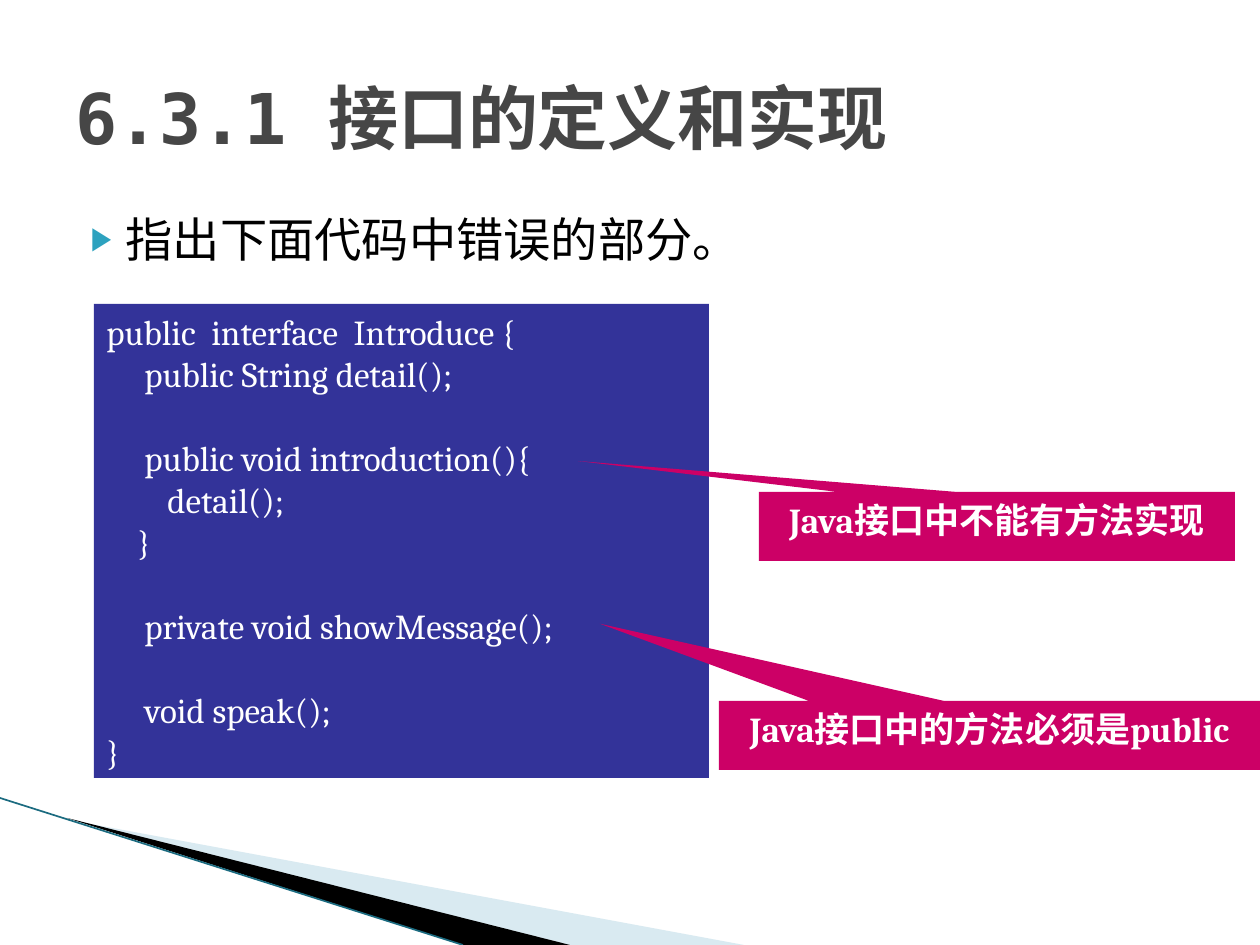
from dataclasses import dataclass

from lxml.etree import SubElement
from pptx import Presentation
from pptx.dml.color import RGBColor
from pptx.enum.lang import MSO_LANGUAGE_ID
from pptx.enum.shapes import MSO_CONNECTOR, MSO_SHAPE
from pptx.enum.text import MSO_ANCHOR, MSO_AUTO_SIZE, PP_ALIGN
from pptx.oxml.ns import qn
from pptx.util import Pt

EMU_PER_PX = 914400 / 126


@dataclass(frozen=True)
class Theme:
    heading_font: str = "DejaVu Sans Mono"
    code_font: str = "Cambria"
    title_size: int = 40
    body_size: int = 27
    code_size: int = 20
    code_line: int = 24
    title: str = "464646"
    body: str = "000000"
    bullet: str = "2DA2BF"
    code_fill: str = "333399"
    callout_fill: str = "CC0066"
    light_text: str = "FFFFFF"
    pale_wedge: str = "A0CBDC"
    dark_wedge: str = "000000"
    edge: str = "1B6B80"


THEME = Theme()

# Indent in px, blank lines above, code
CODE = [
    (0, 0, "public  interface  Introduce {"),
    (38, 0, "public String detail();"),
    (38, 1, "public void introduction(){"),
    (61, 0, "detail();"),
    (31, 0, "}"),
    (38, 1, "private void showMessage();"),
    (38, 1, "void speak();"),
    (0, 0, "}"),
]

# Box, pointer offset as a share of the box, text
CALLOUTS = [
    ((759, 492, 476, 69), (-0.88, -0.95), "Java接口中不能有方法实现"),
    ((719, 701, 541, 69), (-0.72, -1.62), "Java接口中的方法必须是public"),
]


def px(length):
    return round(length * EMU_PER_PX)


def color(value):
    return RGBColor.from_string(value)


def place(shape, box):
    shape.left, shape.top, shape.width, shape.height = map(px, box)


def style(para, font, size, value, bold=False):
    for span in para.runs:
        span.font.name = font
        span.font.size = Pt(size)
        span.font.bold = bold
        span.font.color.rgb = color(value)
        span.font.language_id = MSO_LANGUAGE_ID.SIMPLIFIED_CHINESE


def paint(shape, value):
    shape.fill.solid()
    shape.fill.fore_color.rgb = color(value)
    shape.line.fill.background()
    shape.shadow.inherit = False


def indent(para, left, first=0):
    properties = para._p.get_or_add_pPr()
    properties.set("marL", str(px(left)))
    properties.set("indent", str(px(first)))
    return properties


def add_wedge(slide, points, value, opacity=100):
    start, *rest = points
    builder = slide.shapes.build_freeform(*start, scale=EMU_PER_PX)
    builder.add_line_segments(rest, close=True)
    wedge = builder.convert_to_shape()
    paint(wedge, value)
    if opacity < 100:
        fill = wedge._element.spPr.find(qn("a:solidFill"))
        SubElement(fill[0], qn("a:alpha"), val=str(opacity * 1000))


def add_edge(slide, start, end):
    edge = slide.shapes.add_connector(MSO_CONNECTOR.STRAIGHT, *map(px, start + end))
    edge.line.color.rgb = color(THEME.edge)
    edge.line.width = Pt(0.95)
    SubElement(edge._element.spPr, qn("a:effectLst"))


def fill_title(title, text):
    place(title, (63, 38, 1134, 157))
    frame = title.text_frame
    frame.text = text
    frame.auto_size = MSO_AUTO_SIZE.NONE
    frame.vertical_anchor = MSO_ANCHOR.MIDDLE
    para = frame.paragraphs[0]
    para.alignment = PP_ALIGN.LEFT
    style(para, THEME.heading_font, THEME.title_size, THEME.title, bold=True)


def fill_body(body, text):
    place(body, (63, 204, 1134, 624))
    frame = body.text_frame
    frame.text = text
    frame.auto_size = MSO_AUTO_SIZE.NONE
    para = frame.paragraphs[0]
    para.space_before = Pt(4)
    style(para, THEME.heading_font, THEME.body_size, THEME.body)
    properties = indent(para, 50, -35)
    bullet_color = SubElement(properties, qn("a:buClr"))
    SubElement(bullet_color, qn("a:srgbClr"), val=THEME.bullet)
    SubElement(properties, qn("a:buSzPct"), val="68000")
    SubElement(properties, qn("a:buChar"), char="▶")


def add_code(slide, box, lines):
    panel = slide.shapes.add_shape(MSO_SHAPE.RECTANGLE, *map(px, box))
    paint(panel, THEME.code_fill)
    frame = panel.text_frame
    frame.word_wrap = True
    frame.vertical_anchor = MSO_ANCHOR.TOP
    frame.text = "\n".join(text for _, _, text in lines)
    for para, (left, blanks, _) in zip(frame.paragraphs, lines):
        para.alignment = PP_ALIGN.LEFT
        para.space_before = Pt(blanks * THEME.code_line)
        indent(para, left)
        style(para, THEME.code_font, THEME.code_size, THEME.light_text)


def add_callout(slide, box, pointer, text):
    callout = slide.shapes.add_shape(MSO_SHAPE.RECTANGULAR_CALLOUT, *map(px, box))
    callout.adjustments[0], callout.adjustments[1] = pointer
    paint(callout, THEME.callout_fill)
    frame = callout.text_frame
    frame.word_wrap = True
    frame.vertical_anchor = MSO_ANCHOR.TOP
    frame.text = text
    para = frame.paragraphs[0]
    para.alignment = PP_ALIGN.CENTER
    style(para, THEME.code_font, THEME.code_size, THEME.light_text, bold=True)


def main():
    deck = Presentation()
    deck.slide_width, deck.slide_height = px(1260), px(945)
    slide = deck.slides.add_slide(deck.slide_layouts[1])

    add_wedge(slide, [(69, 820), (744, 945), (570, 945)], THEME.pale_wedge, opacity=40)
    add_wedge(slide, [(67, 818), (570, 945), (463, 945)], THEME.dark_wedge)
    add_edge(slide, (0, 798), (463, 945))

    fill_title(slide.shapes.title, "6.3.1 接口的定义和实现")
    fill_body(slide.placeholders[1], "指出下面代码中错误的部分。")
    add_code(slide, (94, 304, 615, 474), CODE)
    for box, pointer, text in CALLOUTS:
        add_callout(slide, box, pointer, text)

    deck.save("out.pptx")


if __name__ == "__main__":
    main()
